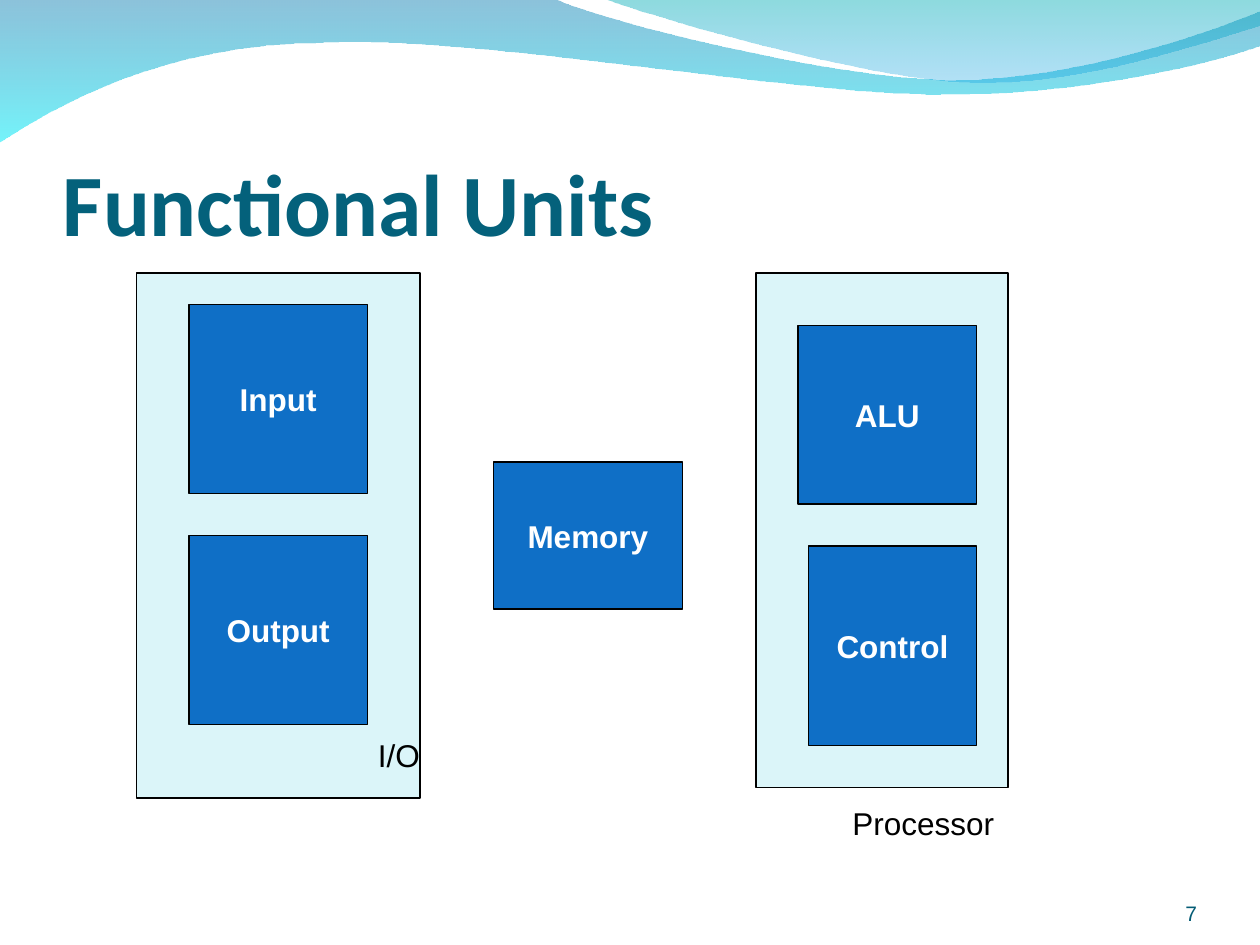
from lxml.etree import SubElement
from pptx import Presentation
from pptx.dml.color import RGBColor
from pptx.enum.shapes import MSO_SHAPE as Shape
from pptx.enum.text import MSO_ANCHOR as Anchor, MSO_AUTO_SIZE as AutoSize, PP_ALIGN as Align
from pptx.oxml.ns import qn
from pptx.util import Pt

PX = 7620  # EMU per px, 120 px to the inch
BLACK = RGBColor(0x00, 0x00, 0x00)
WHITE = RGBColor(0xFF, 0xFF, 0xFF)
TITLE_TEAL = RGBColor(0x04, 0x61, 0x7B)
NUMBER_TEAL = RGBColor(0x04, 0x5C, 0x75)
GROUP_BLUE = RGBColor(0xDB, 0xF5, 0xF9)
UNIT_BLUE = RGBColor(0x0F, 0x6F, 0xC6)
WAVE_BLUE = RGBColor(0x00, 0x79, 0xAF)
WAVE_CYAN = RGBColor(0x00, 0xEB, 0xF8)
CREST_TEAL = RGBColor(0x00, 0xAD, 0xB6)
CREST_BLUE = RGBColor(0x00, 0x9B, 0xE5)

deck = Presentation()
deck.slide_width, deck.slide_height = 1200 * PX, 900 * PX
page = deck.slides.add_slide(deck.slide_layouts[6])


def write(box, text, frame_format, align, font_format, color):
    frame = box.text_frame
    for name, value in frame_format.items():
        setattr(frame, name, value)
    para = frame.paragraphs[0]
    para.alignment = align
    span = para.add_run()
    span.text = text
    for name, value in font_format.items():
        setattr(span.font, name, value)
    span.font.color.rgb = color


def add_outline(start, segments):
    """Add a closed freeform: a segment of one point is a line, of three a Bezier curve."""
    builder = page.shapes.build_freeform(*start, scale=PX)
    builder.add_line_segments([point for segment in segments for point in segment])
    outline = builder.convert_to_shape()
    lines = iter(list(outline.element.iter(qn("a:lnTo"))))
    for segment in segments:
        first, *others = [next(lines) for point in segment]
        if others:
            first.tag = qn("a:cubicBezTo")
        for other in others:
            first.append(other[0])
            other.getparent().remove(other)
    return outline


# Header waves: start, segments, then colour and opacity percent of each stop
waves = [
    ((0, -1),
     [[(528, -1)],
      [(571, 20), (797, 76), (910, 76)],
      [(1024, 76), (1150, 31), (1200, 11)],
      [(1201, 43)],
      [(1180, 53), (1044, 91), (895, 90)],
      [(746, 90), (458, 34), (308, 41)],
      [(155, 42), (55, 100), (-1, 136)]],
     [(WAVE_BLUE, 45), (WAVE_CYAN, 55)]),
    ((575, -1),
     [[(611, 13), (818, 74), (923, 78)],
      [(1027, 83), (1153, 38), (1200, 25)],
      [(1200, 0)]],
     [(CREST_TEAL, 45), (CREST_BLUE, 30)]),
]
for start, segments, stops in waves:
    wave = add_outline(start, segments)
    wave.shadow.inherit = False
    wave.line.fill.background()
    wave.fill.gradient()
    wave.fill.gradient_angle = 270
    for stop, (color, opacity) in zip(wave.fill.gradient_stops, stops):
        stop.color.rgb = color
    # Opacity sits inside each stop's colour element
    for tint, (color, opacity) in zip(wave.element.spPr.iter(qn("a:srgbClr")), stops):
        SubElement(tint, qn("a:alpha")).set("val", str(opacity * 1000))

# Groups and the functional units, back to front
unit_frame = dict(word_wrap=False, vertical_anchor=Anchor.MIDDLE)
unit_font = dict(name="Arial", size=Pt(18), bold=True)
blocks = [
    ("", 130, 260, 270, 500),
    ("Input", 180, 290, 170, 180),
    ("Output", 180, 510, 170, 180),
    ("Memory", 470, 440, 180, 140),
    ("", 720, 260, 240, 490),
    ("ALU", 760, 310, 170, 170),
    ("Control", 770, 520, 160, 190),
]
for text, *place in blocks:
    block = page.shapes.add_shape(Shape.RECTANGLE, *(n * PX for n in place))
    block.shadow.inherit = False
    block.fill.solid()
    block.fill.fore_color.rgb = UNIT_BLUE if text else GROUP_BLUE
    block.line.color.rgb = BLACK
    block.line.width = Pt(0.75)
    if text:
        write(block, text, unit_frame, Align.CENTER, unit_font, WHITE)

# Title, slide number and group labels
flush = dict(word_wrap=True, vertical_anchor=Anchor.BOTTOM, margin_left=0,
             margin_right=0, margin_top=0, margin_bottom=0)
label_frame = dict(word_wrap=True, auto_size=AutoSize.SHAPE_TO_FIT_TEXT)
label_font = dict(name="Arial", size=Pt(18))
texts = [
    ("Functional Units", (60, 92, 1080, 150), flush | dict(margin_top=6 * PX), Align.LEFT,
     dict(name="Calibri", size=Pt(50), bold=True), TITLE_TEAL),
    ("7", (1040, 834, 100, 48), flush, Align.RIGHT,
     dict(name="Arial", size=Pt(12)), NUMBER_TEAL),
    ("I/O", (348, 695, 64, 48), label_frame | dict(word_wrap=False), Align.LEFT,
     label_font, BLACK),
    ("Processor", (800, 760, 170, 48), label_frame, Align.LEFT, label_font, BLACK),
]
for text, place, *formats in texts:
    box = page.shapes.add_textbox(*(n * PX for n in place))
    write(box, text, *formats)

deck.save("out.pptx")
